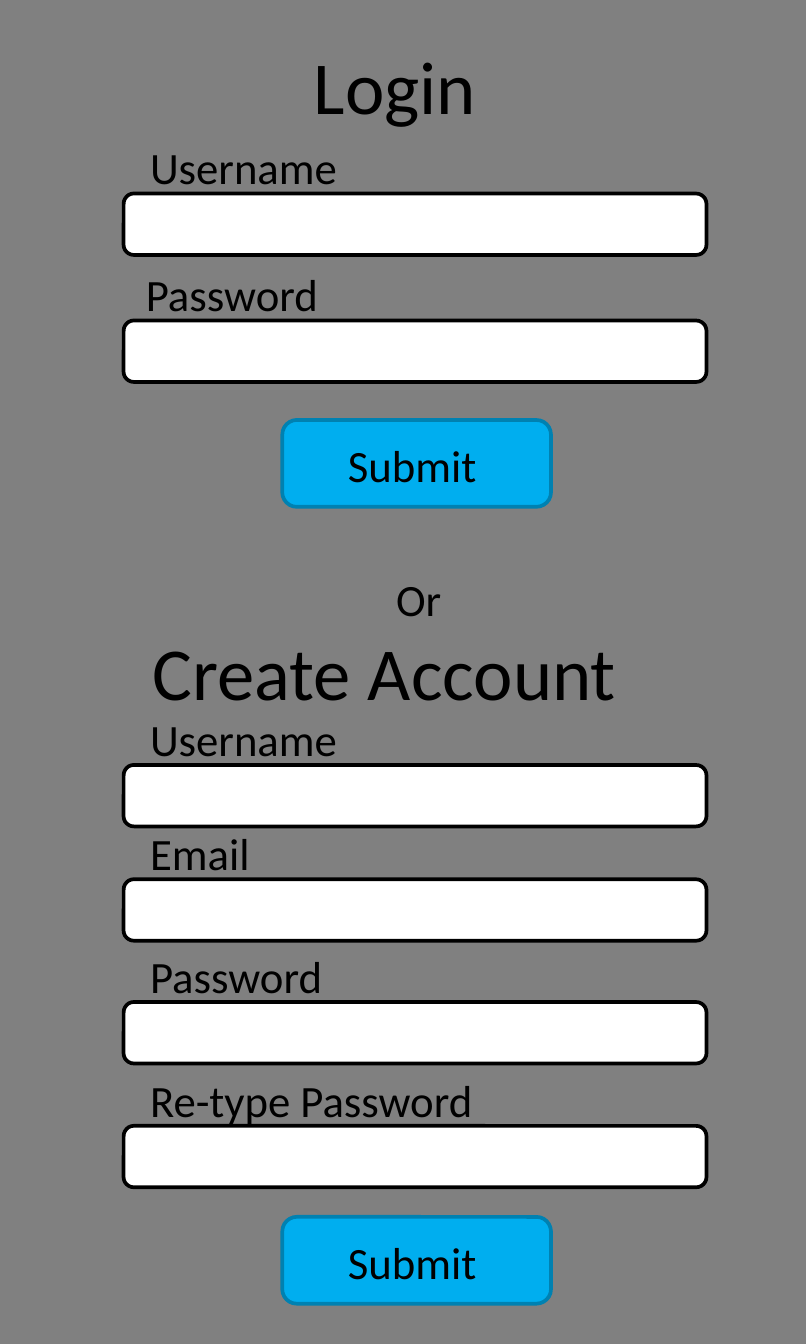
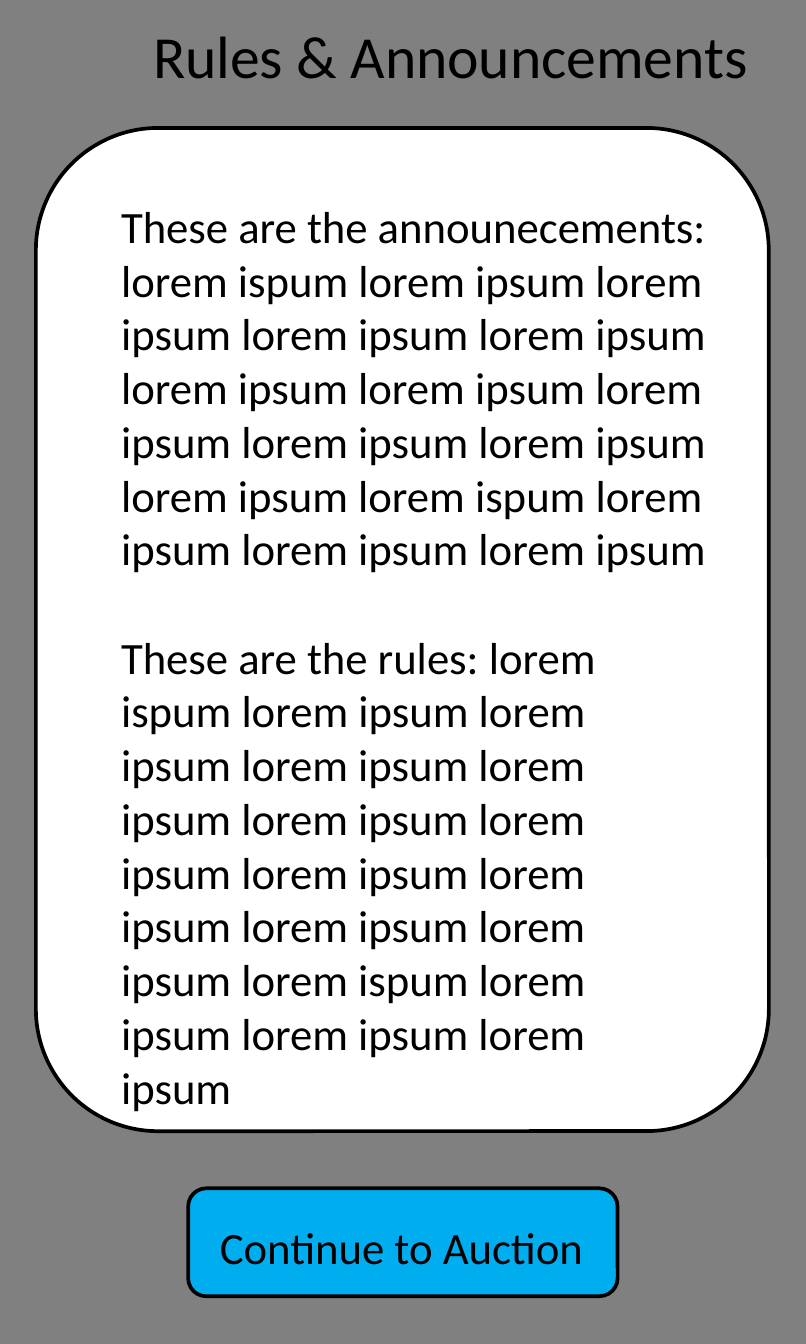
from lxml import etree
from pptx import Presentation
from pptx.dml.color import RGBColor
from pptx.enum.shapes import MSO_SHAPE
from pptx.enum.text import MSO_ANCHOR, MSO_AUTO_SIZE, PP_ALIGN
from pptx.oxml.ns import qn
from pptx.util import Cm, Pt

ROUNDED = MSO_SHAPE.ROUNDED_RECTANGLE
TOP = MSO_ANCHOR.TOP
NO_FIT = MSO_AUTO_SIZE.NONE
LEFT, CENTER = PP_ALIGN.LEFT, PP_ALIGN.CENTER

COLORS = {
    "background": "808080",
    "ink": "000000",
    "field": "FFFFFF",
    "button": "00AEEF",
    "button_edge": "0081B1",
}
FONT = "Calibri"
TITLE_ONLY, TWO_CONTENT = 5, 3
FIELD_LEFT, FIELD_WIDTH, FIELD_HEIGHT = 1.17, 5.51, 0.58
LABEL_RISE = 0.63

ANNOUNCEMENTS = (
    "These are the announecements: lorem ispum lorem ipsum lorem ipsum lorem ipsum "
    "lorem ipsum lorem ipsum lorem ipsum lorem ipsum lorem ipsum lorem ipsum "
    "lorem ipsum lorem ispum lorem ipsum lorem ipsum lorem ipsum"
)
RULES = (
    "These are the rules: lorem ispum lorem ipsum lorem ipsum lorem ipsum "
    "lorem ipsum lorem ipsum lorem ipsum lorem ipsum lorem ipsum lorem ipsum "
    "lorem ipsum lorem ispum lorem ipsum lorem ipsum lorem ipsum"
)


def color(name):
    return RGBColor.from_string(COLORS[name])


class FormDeck:
    def __init__(self):
        self.prs = Presentation()
        self.prs.slide_width = Cm(7.62)
        self.prs.slide_height = Cm(12.7)
        backdrop = self.prs.slide_master.background.fill
        backdrop.solid()
        backdrop.fore_color.rgb = color("background")
        self.slide = None

    def new_slide(self, layout):
        self.slide = self.prs.slides.add_slide(self.prs.slide_layouts[layout])

    def add_line(self, paragraph, text, size=12, align=LEFT):
        paragraph.alignment = align
        paragraph.space_before = Pt(0)
        run = paragraph.add_run()
        run.text = text
        run.font.name = FONT
        run.font.size = Pt(size)
        run.font.color.rgb = color("ink")

    def placeholder(self, index, box):
        holder = self.slide.placeholders[index]
        holder.left, holder.top, holder.width, holder.height = map(Cm, box)
        self.slide.shapes.element.append(holder.element)
        frame = holder.text_frame
        frame.word_wrap = True
        frame.auto_size = NO_FIT
        frame.vertical_anchor = TOP
        return frame.paragraphs[0]

    def title(self, text, box, size):
        self.add_line(self.placeholder(0, box), text, size, CENTER)

    def body(self, index, text, box):
        paragraph = self.placeholder(index, box)
        properties = paragraph._p.get_or_add_pPr()
        properties.set("marL", "0")
        properties.set("indent", "0")
        etree.SubElement(properties, qn("a:buNone"))
        self.add_line(paragraph, text)

    def text(self, box, *lines):
        frame = self.slide.shapes.add_textbox(*map(Cm, box)).text_frame
        frame.word_wrap = True
        for number, line in enumerate(lines):
            paragraph = frame.add_paragraph() if number else frame.paragraphs[0]
            self.add_line(paragraph, *line)

    def panel(self, box, fill="field", edge="ink"):
        shape = self.slide.shapes.add_shape(ROUNDED, *map(Cm, box))
        shape.shadow.inherit = False
        shape.fill.solid()
        shape.fill.fore_color.rgb = color(fill)
        shape.line.color.rgb = color(edge)
        shape.line.width = Pt(1)
        return shape

    def field(self, label, top, label_left=FIELD_LEFT):
        self.panel((FIELD_LEFT, top, FIELD_WIDTH, FIELD_HEIGHT))
        self.text((label_left, top - LABEL_RISE, 3.66, 0.76), (label,))

    def button(self, text, box, inset_left, inset_top, edge):
        frame = self.panel(box, "button", edge).text_frame
        frame.margin_left, frame.margin_top = Cm(inset_left), Cm(inset_top)
        frame.margin_right = frame.margin_bottom = 0
        frame.vertical_anchor = TOP
        self.add_line(frame.paragraphs[0], text)

    def submit(self, top):
        self.button("Submit", (2.67, top, 2.54, 0.82), 0.58, 0.13, "button_edge")


def main():
    deck = FormDeck()

    deck.new_slide(TITLE_ONLY)
    deck.title("Login", (1.22, 0.25, 5.03, 1.12), 20)
    deck.field("Username", 1.83)
    deck.field("Password", 3.03, 1.13)
    deck.submit(3.97)
    deck.text((1.19, 5.28, 5.54, 1.63), ("Or", 12, CENTER), ("Create Account", 20))
    account_fields = {
        "Username": 7.23,
        "Email": 8.31,
        "Password": 9.47,
        "Re-type Password": 10.64,
    }
    for label, top in account_fields.items():
        deck.field(label, top)
    deck.submit(11.5)

    deck.new_slide(TWO_CONTENT)
    deck.title("Rules & Announcements", (0.96, 0.05, 6.6, 0.94), 16)
    deck.panel((0.34, 1.21, 6.93, 9.48))
    deck.body(1, ANNOUNCEMENTS, (0.89, 1.75, 6.38, 3.84))
    deck.body(2, RULES, (0.89, 5.82, 5.99, 4.88))
    deck.button("Continue to Auction", (1.78, 11.23, 4.06, 1.02), 0.25, 0.25, "ink")

    deck.prs.save("out.pptx")


if __name__ == "__main__":
    main()
